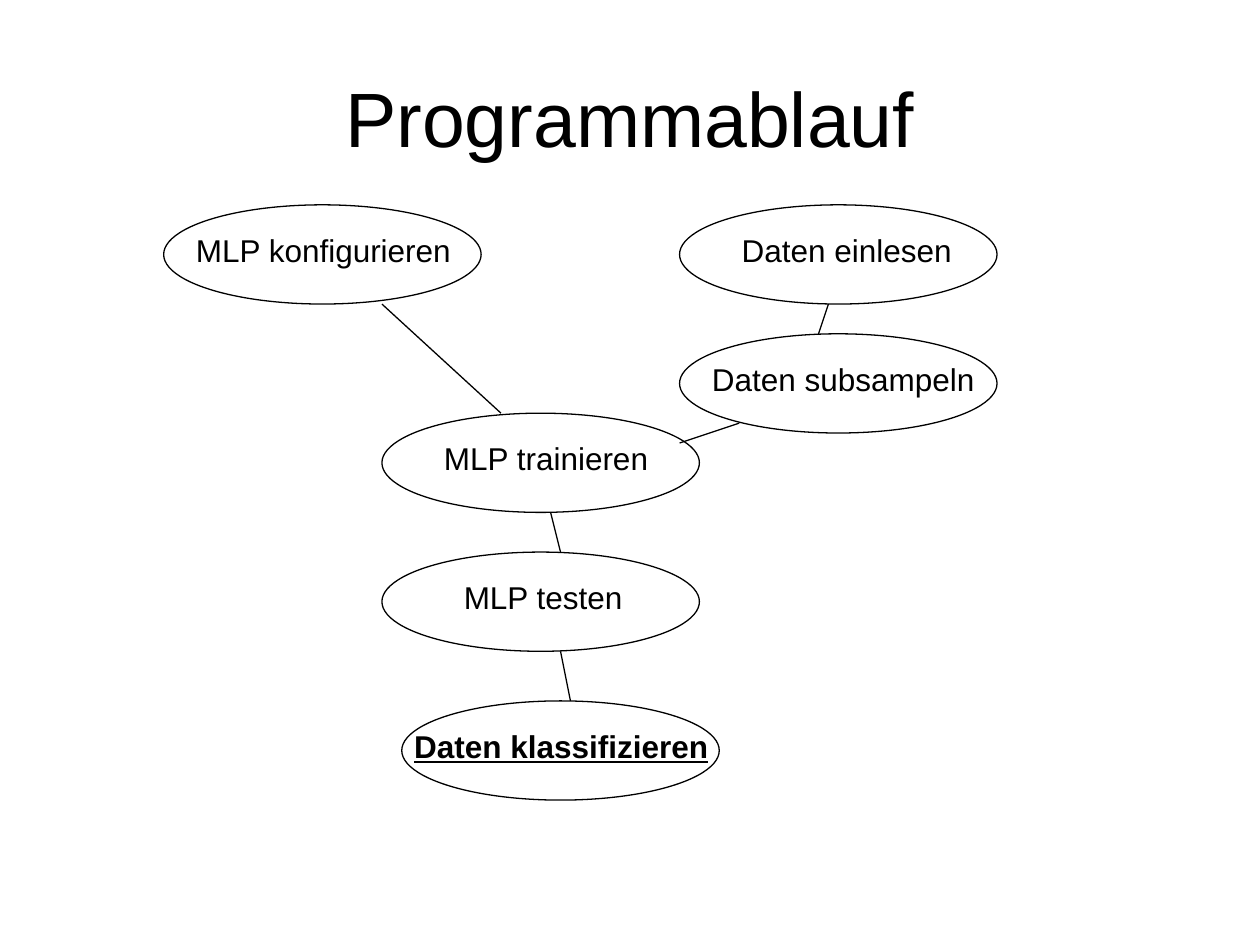
from lxml import etree
from pptx import Presentation
from pptx.dml.color import RGBColor
from pptx.enum import shapes, text
from pptx.oxml import ns
from pptx.util import Cm, Pt

BLACK = RGBColor(0, 0, 0)
OVAL_WIDTH, OVAL_HEIGHT = Cm(6.4), Cm(2)
LABEL_DROP = 0.4

# label, oval left, oval top, label indent, label width, font extras (cm)
STEPS = [
    ("MLP konfigurieren", 3.3, 4.13, 0.4, 5.7, {}),
    ("Daten einlesen", 13.7, 4.13, 1, 4.8, {}),
    ("MLP trainieren", 7.7, 8.33, 1, 4.68, {}),
    ("MLP testen", 7.7, 11.13, 1.4, 3.76, {}),
    ("Daten klassifizieren", 8.1, 14.13, 0, 6.48, {"bold": True, "underline": True}),
    ("Daten subsampeln", 13.7, 6.73, 0.4, 5.88, {}),
]
# The links meet the ovals off their connection sites (x1, y1, x2, y2 in cm)
LINKS = [
    (7.7, 6.13, 10.1, 8.33),
    (14.9, 8.53, 13.7, 8.93),
    (16.7, 6.13, 16.5, 6.73),
    (11.3, 11.13, 11.1, 10.33),
    (11.5, 14.13, 11.3, 13.13),
]


def format_font(font, **extras):
    values = {"name": "Arial", "size": Pt(18), **extras}
    for name, value in values.items():
        setattr(font, name, value)
    font.color.rgb = BLACK


def format_line(line):
    line.color.rgb = BLACK
    line.width = Pt(0.75)


deck = Presentation()
deck.slide_width, deck.slide_height = Cm(25.4), Cm(19.05)
page = deck.slides.add_slide(deck.slide_layouts[5])

title = page.shapes.title
title_box = {"left": Cm(1.27), "top": Cm(0.76), "width": Cm(22.86), "height": Cm(3.18)}
for name, value in title_box.items():
    setattr(title, name, value)
title.text_frame.text = "Programmablauf"
title.text_frame.vertical_anchor = text.MSO_ANCHOR.MIDDLE
para = title.text_frame.paragraphs[0]
para.alignment = text.PP_ALIGN.CENTER
format_font(para.runs[0].font, size=Pt(44))

for label, left, top, indent, width, extras in STEPS:
    oval = page.shapes.add_shape(
        shapes.MSO_SHAPE.OVAL, Cm(left), Cm(top), OVAL_WIDTH, OVAL_HEIGHT
    )
    oval.shadow.inherit = False
    oval.fill.background()
    format_line(oval.line)

    box = page.shapes.add_textbox(
        Cm(left + indent), Cm(top + LABEL_DROP), Cm(width), Cm(1.02)
    )
    frame = box.text_frame
    frame.word_wrap = False
    frame.auto_size = text.MSO_AUTO_SIZE.SHAPE_TO_FIT_TEXT
    span = frame.paragraphs[0].add_run()
    span.text = label
    format_font(span.font, **extras)

for ends in LINKS:
    link = page.shapes.add_connector(
        shapes.MSO_CONNECTOR.STRAIGHT, *(Cm(value) for value in ends)
    )
    format_line(link.line)
    etree.SubElement(link._element.spPr, ns.qn("a:effectLst"))

deck.save("out.pptx")
